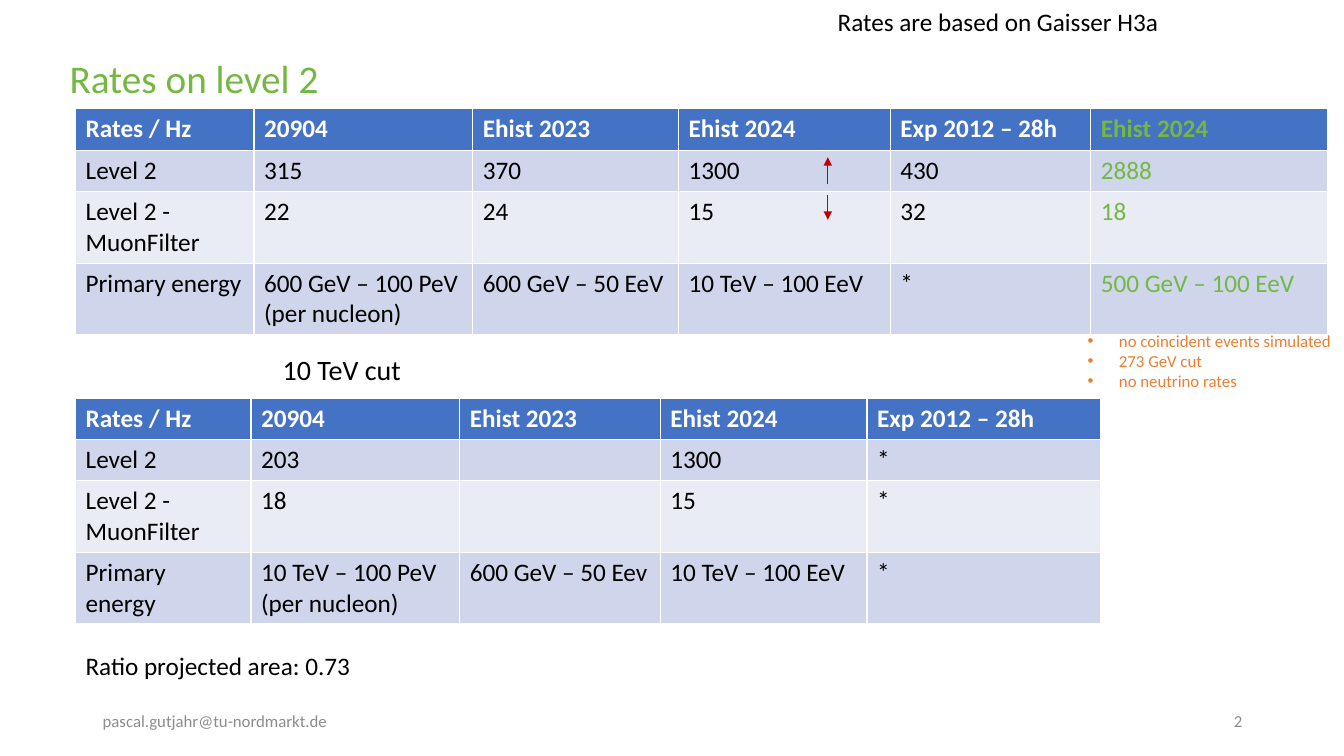
from lxml import etree
from pptx import Presentation
from pptx import util as u
from pptx.dml.color import RGBColor
from pptx.enum import shapes, text
from pptx.oxml import ns

GREEN, BLACK, GREY, ORANGE = "74B842", "000000", "8C8C8C", "ED7D31"
LEFT, MIDDLE = text.PP_ALIGN.LEFT, text.MSO_ANCHOR.MIDDLE


def style(p, size, color, bold=False, align=LEFT):
    p.alignment = align
    p.font.name, p.font.size, p.font.bold = "Calibri", u.Pt(size), bold
    p.font.color.rgb = RGBColor.from_string(color)


def place(sp, left, top, width, height):
    sp.left, sp.top = u.Inches(left), u.Inches(top)
    sp.width, sp.height = u.Inches(width), u.Inches(height)


prs = Presentation()
prs.slide_width, prs.slide_height = u.Inches(13.33), u.Inches(7.5)
s = prs.slides.add_slide(prs.slide_layouts[1])

# Title and heading of the second table
title, heading = s.placeholders
for sp, box, words, size, color, align in [
    (title, (0.59, 0.4, 12.59, 0.81), "Rates on level 2", 28, GREEN, LEFT),
    (heading, (2.18, 3.48, 2.42, 0.67), "10 TeV cut", 20, BLACK, text.PP_ALIGN.CENTER),
]:
    place(sp, *box)
    tf = sp.text_frame
    tf.text = words
    tf.auto_size = text.MSO_AUTO_SIZE.NONE
    style(tf.paragraphs[0], size, color, align=align)
    tf.paragraphs[0].line_spacing = 0.9
title.text_frame.vertical_anchor = MIDDLE
p = heading.text_frame.paragraphs[0]
p.space_before = u.Pt(10)
pPr = p._p.get_or_add_pPr()
pPr.set("marL", "0")
pPr.set("indent", "0")
pPr.insert_element_before(etree.Element(ns.qn("a:buNone")), "a:tabLst", "a:defRPr", "a:extLst")

# Rate tables
labels = ["Rates / Hz", "Level 2", "Level 2 - MuonFilter", "Primary energy"]
header = ["20904", "Ehist 2023", "Ehist 2024", "Exp 2012 – 28h"]
row_fills = ["4472C4", "CFD5EA", "E9EBF5", "CFD5EA"]
row_heights = [0.41, 0.41, 0.7, 0.7]
tables = [
    (1.08, [1.77, 2.17, 2.04, 2.1, 1.99, 2.35], [
        header + ["Ehist 2024"],
        ["315", "370", "1300", "430", "2888"],
        ["22", "24", "15", "32", "18"],
        ["600 GeV – 100 PeV (per nucleon)", "600 GeV – 50 EeV", "10 TeV – 100 EeV", "*",
         "500 GeV – 100 EeV"],
    ]),
    (3.95, [1.74, 2.07, 1.99, 2.05, 2.32], [
        header,
        ["203", "", "1300", "*"],
        ["18", "", "15", "*"],
        ["10 TeV – 100 PeV (per nucleon)", "600 GeV – 50 Eev", "10 TeV – 100 EeV", "*"],
    ]),
]
for top, widths, rows in tables:
    table = s.shapes.add_table(len(rows), len(widths), u.Inches(0.75), u.Inches(top),
                               u.Inches(sum(widths)), u.Inches(sum(row_heights))).table
    for col, width in zip(table.columns, widths):
        col.width = u.Inches(width)
    for i, values in enumerate(rows):
        table.rows[i].height = u.Inches(row_heights[i])
        for j, value in enumerate([labels[i]] + values):
            cell = table.cell(i, j)
            cell.text = value
            cell.fill.solid()
            cell.fill.fore_color.rgb = RGBColor.from_string(row_fills[i])
            color = GREEN if j == 5 else "FFFFFF" if i == 0 else BLACK
            style(cell.text_frame.paragraphs[0], 18, color, bold=i == 0)

# Arrows: Level 2 goes up, MuonFilter goes down
for start, end in [(1.83, 1.56), (1.93, 2.18)]:
    arrow = s.shapes.add_connector(shapes.MSO_CONNECTOR.STRAIGHT, u.Inches(8.21), u.Inches(start),
                                   u.Inches(8.21), u.Inches(end))
    arrow.line.color.rgb = RGBColor.from_string("C00000")
    arrow.line.width = u.Pt(0.5)
    etree.SubElement(arrow.line._get_or_add_ln(), ns.qn("a:tailEnd"), type="triangle")
    etree.SubElement(arrow._element.spPr, ns.qn("a:effectLst"))

# Notes
notes = [
    ((0.75, 6.4, 2.86, 0.4), ["Ratio projected area: 0.73"], 18, BLACK),
    ((8.21, 0.01, 3.42, 0.4), ["Rates are based on Gaisser H3a"], 18, BLACK),
    ((10.69, 3.23, 2.64, 0.71),
     ["no coincident events simulated", "273 GeV cut", "no neutrino rates"], 12, ORANGE),
]
for box, lines, size, color in notes:
    sp = s.shapes.add_textbox(0, 0, 0, 0)
    place(sp, *box)
    tf = sp.text_frame
    tf.word_wrap = False
    tf.auto_size = text.MSO_AUTO_SIZE.SHAPE_TO_FIT_TEXT
    tf.text = "\n".join(lines)
    for p in tf.paragraphs:
        style(p, size, color)
        if len(lines) > 1:
            pPr = p._p.get_or_add_pPr()
            pPr.set("marL", str(u.Inches(0.31)))
            pPr.set("indent", str(-u.Inches(0.31)))
            for tag, key, value in [("a:buFont", "typeface", "Arial"), ("a:buChar", "char", "•")]:
                bullet = etree.Element(ns.qn(tag), {key: value})
                pPr.insert_element_before(bullet, "a:tabLst", "a:defRPr", "a:extLst")

# Footer
for left, words, align in [(0.92, "pascal.gutjahr@tu-nordmarkt.de", LEFT),
                           (9.42, "2", text.PP_ALIGN.RIGHT)]:
    sp = s.shapes.add_textbox(0, 0, 0, 0)
    place(sp, left, 6.95, 3, 0.4)
    tf = sp.text_frame
    tf.word_wrap = True
    tf.vertical_anchor = MIDDLE
    tf.text = words
    style(tf.paragraphs[0], 12, GREY, align=align)

prs.save("out.pptx")
